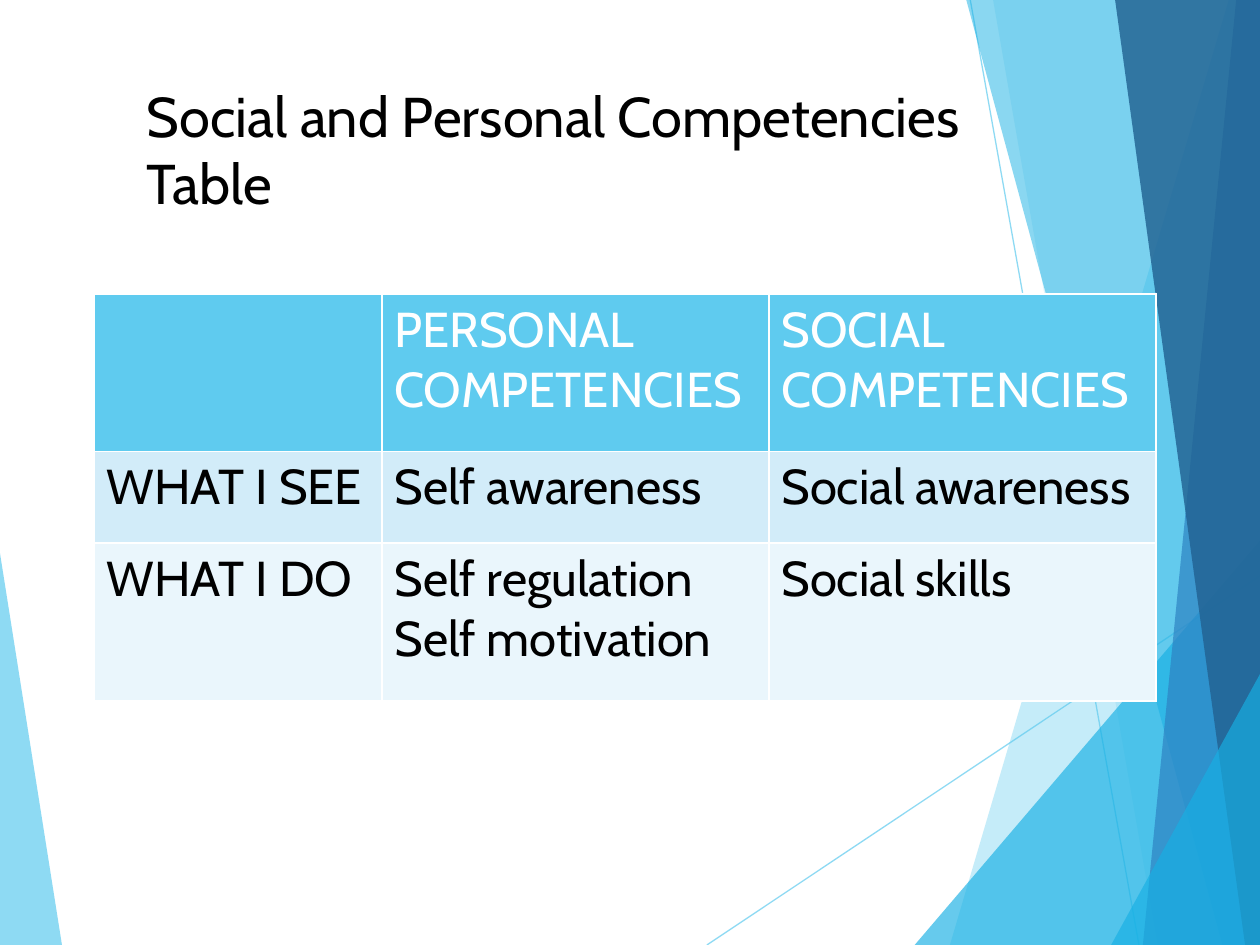
from dataclasses import dataclass

from lxml import etree
from pptx import Presentation, util as u
from pptx.dml.color import RGBColor
from pptx.enum import shapes, text
from pptx.oxml.ns import qn


@dataclass(frozen=True)
class Theme:
    font: str = "Cabin"
    title_size: int = 32
    table_size: int = 28
    line_width: float = 0.75
    black: str = "000000"
    white: str = "FFFFFF"
    sky: str = "5FCBEF"
    cyan: str = "17B0E4"
    blue: str = "2E83C3"
    navy: str = "226292"
    row_fills: tuple = ("5FCBEF", "D2ECF9", "EAF6FC")


@dataclass(frozen=True)
class Box:
    """A region, in centimetres."""
    left: float
    top: float
    width: float
    height: float

    def place(self, x, y):
        return u.Cm(self.left + x), u.Cm(self.top + y)

    def frame(self):
        return (*self.place(0, 0), u.Cm(self.width), u.Cm(self.height))


THEME = Theme()
PAGE = Box(0, 0, 25.4, 19.05)
TITLE = Box(2.7, 1.52, 18.8, 1.62)
TABLE = Box(1.9, 5.93, 21.4, 8.2)

COLUMN_WIDTHS = (5.8, 7.8, 7.8)
ROW_HEIGHTS = (3.17, 1.85, 3.18)
ROWS = (
    ("", "PERSONAL COMPETENCIES", "SOCIAL COMPETENCIES"),
    ("WHAT I SEE", "Self awareness", "Social awareness"),
    ("WHAT I DO", "Self regulation\nSelf motivation", "Social skills"),
)


def paint(color_format, color, opacity=100):
    color_format.rgb = RGBColor.from_string(color)


def set_opacity(shape, percent):
    for color in shape.element.spPr.iter(qn("a:srgbClr")):
        etree.SubElement(color, qn("a:alpha")).set("val", str(percent * 1000))


def style_text(frame, size, color):
    for para in frame.paragraphs:
        for span in para.runs:
            span.font.name = THEME.font
            span.font.size = u.Pt(size)
            span.font.bold = False
            span.font.color.rgb = RGBColor.from_string(color)


def add_facet(page, box, start, foot, side, color, opacity):
    """Fill between a slanted edge, from start to the foot of the box, and a side."""
    corners = [start, (foot, box.height), (side, box.height)]
    if start[0] != side:
        corners.append((side, start[1]))
    points = [box.place(*corner) for corner in corners]
    builder = page.shapes.build_freeform(*points[0], scale=1.0)
    builder.add_line_segments(points[1:], close=True)
    facet = builder.convert_to_shape()
    facet.shadow.inherit = False
    facet.fill.solid()
    facet.fill.fore_color.rgb = RGBColor.from_string(color)
    facet.line.fill.background()
    set_opacity(facet, opacity)


def add_ray(page, box, start, end):
    ray = page.shapes.add_connector(
        shapes.MSO_CONNECTOR.STRAIGHT, *box.place(*start), *box.place(*end))
    ray.line.width = u.Pt(THEME.line_width)
    ray.line.color.rgb = RGBColor.from_string(THEME.sky)
    set_opacity(ray, 70)
    etree.SubElement(ray.element.spPr, qn("a:effectLst"))


def add_backdrop(page, box):
    right, bottom = box.width, box.height
    add_facet(page, box, (0, 11.15), 1.25, 0, THEME.sky, 70)
    add_ray(page, box, (14.25, bottom), (right, 11.61))
    add_ray(page, box, (19.56, 0), (22.96, bottom))
    for start, foot, color, opacity in (
        ((24.77, 0), 19.15, THEME.sky, 36),
        ((20.02, 0), 23.34, THEME.sky, 20),
        ((right, 10.9), 18.44, THEME.cyan, 66),
        ((19.48, 0), 24.64, THEME.cyan, 50),
        ((24.92, 0), 23.04, THEME.blue, 70),
        ((22.48, 0), 25.1, THEME.navy, 82),
        ((right, 13.59), 22.4, THEME.cyan, 66),
    ):
        add_facet(page, box, start, foot, right, color, opacity)


def add_title(page, box):
    title = page.shapes.title
    title.left, title.top, title.width, title.height = box.frame()
    title.element.getparent().append(title.element)  # in front of the backdrop
    frame = title.text_frame
    frame.text = "Social and Personal Competencies Table"
    frame.word_wrap = True
    frame.auto_size = text.MSO_AUTO_SIZE.SHAPE_TO_FIT_TEXT
    frame.vertical_anchor = text.MSO_ANCHOR.TOP
    frame.paragraphs[0].alignment = text.PP_ALIGN.LEFT
    style_text(frame, THEME.title_size, THEME.black)


def add_competency_table(page, box):
    """The default table style supplies the white rules between cells."""
    table = page.shapes.add_table(len(ROWS), len(ROWS[0]), *box.frame()).table
    for column, width in zip(table.columns, COLUMN_WIDTHS):
        column.width = u.Cm(width)
    for index, (row, height) in enumerate(zip(table.rows, ROW_HEIGHTS)):
        row.height = u.Cm(height)
        for cell, words in zip(row.cells, ROWS[index]):
            cell.fill.solid()
            cell.fill.fore_color.rgb = RGBColor.from_string(THEME.row_fills[index])
            cell.text_frame.text = words
            style_text(cell.text_frame, THEME.table_size,
                       THEME.black if index else THEME.white)


def main():
    deck = Presentation()
    deck.slide_width, deck.slide_height = u.Cm(PAGE.width), u.Cm(PAGE.height)
    page = deck.slides.add_slide(deck.slide_layouts.get_by_name("Title Only"))
    add_backdrop(page, PAGE)
    add_title(page, TITLE)
    add_competency_table(page, TABLE)
    deck.save("out.pptx")


if __name__ == "__main__":
    main()
